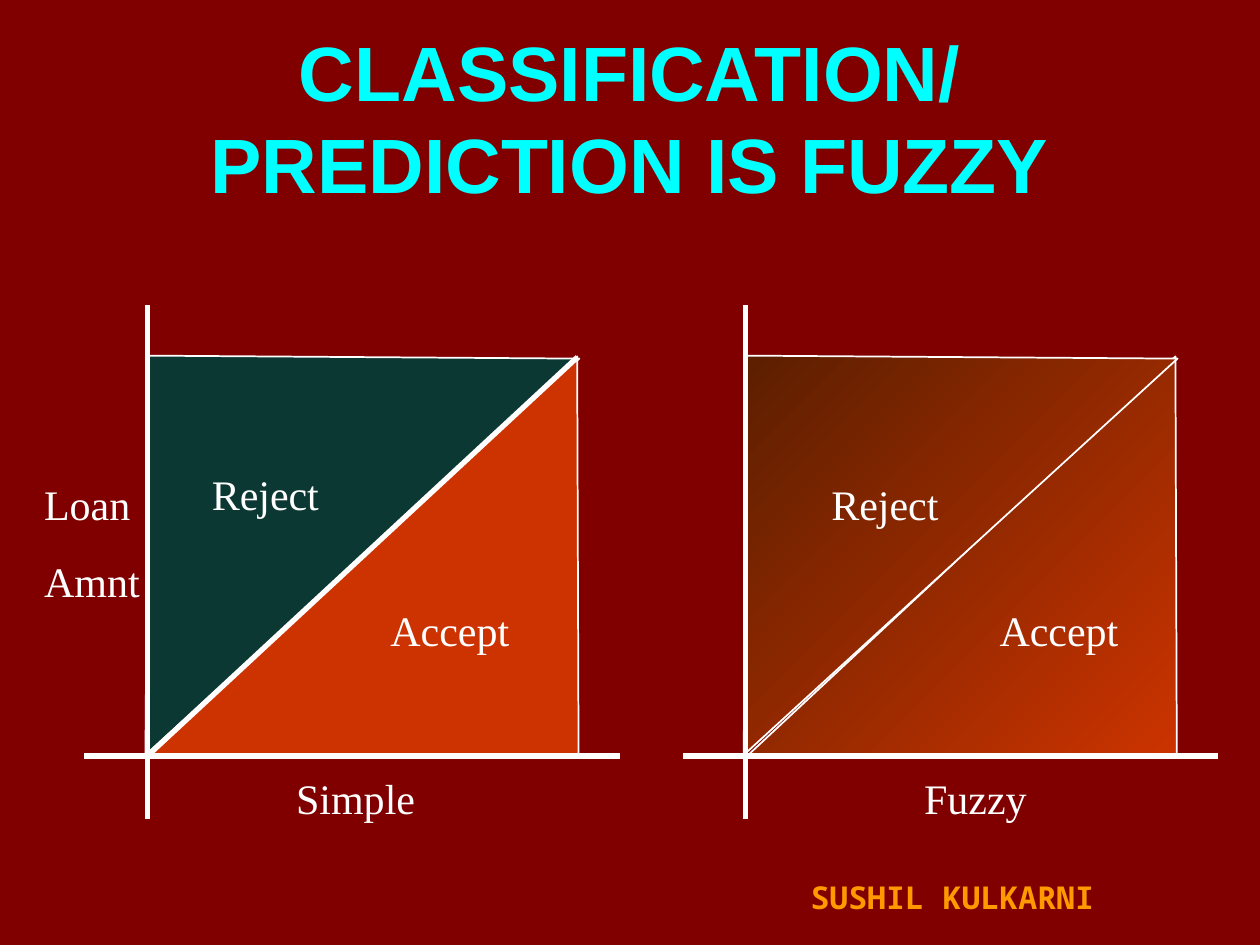
import pptx
import pptx.util
import pptx.dml.color
import pptx.enum.shapes
import pptx.enum.text
import pptx.oxml
import pptx.oxml.ns

Cm = pptx.util.Cm
Pt = pptx.util.Pt
RGB = pptx.dml.color.RGBColor
Auto = pptx.enum.text.MSO_AUTO_SIZE

MAROON = RGB(0x80, 0x00, 0x00)
CYAN = RGB(0x00, 0xFF, 0xFF)
WHITE = RGB(0xFF, 0xFF, 0xFF)
TEAL = RGB(0x0C, 0x38, 0x34)
RED = RGB(0xCC, 0x33, 0x00)
BROWN = RGB(0x5C, 0x1F, 0x00)
ORANGE = RGB(0xFF, 0x99, 0x00)

UPPER = 90.4
LOWER = 269.8
AXIS = 2.97
BASE = 15.24
STEP = 12.06


def write(frame, text, size=24, font="Times New Roman", color=WHITE,
          bold=False, align=None, gap=0):
    frame.text = text
    for i, para in enumerate(frame.paragraphs):
        para.alignment = align
        para.space_before = Pt(gap if i else 0)
        face = para.font
        face.size = Pt(size)
        face.name = font
        face.bold = bold
        face.color.rgb = color


def label(slide, text, left, top, width, height=1.27, wrap=False, **style):
    box = slide.shapes.add_textbox(Cm(left), Cm(top), Cm(width), Cm(height))
    frame = box.text_frame
    frame.word_wrap = wrap
    frame.auto_size = Auto.SHAPE_TO_FIT_TEXT
    write(frame, text, **style)


def line(slide, x1, y1, x2, y2):
    kind = pptx.enum.shapes.MSO_CONNECTOR.STRAIGHT
    link = slide.shapes.add_connector(kind, Cm(x1), Cm(y1), Cm(x2), Cm(y2))
    link.line.color.rgb = WHITE
    link.line.width = Pt(3)
    props = link._element.spPr
    props.append(pptx.oxml.parse_xml(
        "<a:effectLst %s/>" % pptx.oxml.ns.nsdecls("a")))


def wedge(slide, shift, turn, color=None):
    kind = pptx.enum.shapes.MSO_SHAPE.RIGHT_TRIANGLE
    shape = slide.shapes.add_shape(
        kind, Cm(3.28 + shift), Cm(6.88), Cm(8.05), Cm(8.69))
    shape.rotation = turn
    shape.shadow.inherit = False
    shape.line.color.rgb = WHITE
    shape.line.width = Pt(1)
    if color is not None:
        shape.fill.solid()
        shape.fill.fore_color.rgb = color
        return
    shape.fill.gradient()
    shape.fill.gradient_angle = 135
    for stop, tone in zip(shape.fill.gradient_stops, (RED, BROWN)):
        stop.color.rgb = tone
    grad = shape._element.spPr.find(pptx.oxml.ns.qn("a:gradFill"))
    grad.set("rotWithShape", "0")


def axes(slide, shift):
    line(slide, AXIS + shift, 16.51, AXIS + shift, 6.15)
    line(slide, 12.5 + shift, BASE, 1.7 + shift, BASE)


def main():
    deck = pptx.Presentation()
    deck.slide_width = Cm(25.4)
    deck.slide_height = Cm(19.05)
    slide = deck.slides.add_slide(deck.slide_layouts[5])
    slide.background.fill.solid()
    slide.background.fill.fore_color.rgb = MAROON

    title = slide.shapes.title
    title.left, title.top = Cm(1.27), Cm(0.76)
    title.width, title.height = Cm(22.86), Cm(3.18)
    title.text_frame.auto_size = Auto.NONE
    title.text_frame.vertical_anchor = pptx.enum.text.MSO_ANCHOR.MIDDLE
    write(title.text_frame, "CLASSIFICATION/ PREDICTION IS FUZZY", size=44,
          font="Arial", color=CYAN, bold=True,
          align=pptx.enum.text.PP_ALIGN.CENTER)

    wedge(slide, 0, UPPER, TEAL)
    wedge(slide, 0, LOWER, RED)
    axes(slide, 0)
    line(slide, AXIS, BASE, 11.64, 7.2)

    wedge(slide, STEP, LOWER)
    wedge(slide, STEP, UPPER)
    axes(slide, STEP)

    label(slide, "Loan\nAmnt", 0.64, 9.53, 2.75, 2.82, wrap=True, gap=15)
    for text, left, top, width in (
            ("Reject", 4.02, 9.31, 2.67),
            ("Accept", 7.62, 12.07, 2.9),
            ("Simple", 5.72, 15.45, 2.9),
            ("Reject", 16.51, 9.53, 2.67),
            ("Accept", 19.9, 12.07, 2.9),
            ("Fuzzy", 18.38, 15.45, 2.57)):
        label(slide, text, left, top, width)
    label(slide, "SUSHIL KULKARNI", 16.09, 17.57, 6.55, 1.02, wrap=True,
          size=18, font="Noto Sans Mono", color=ORANGE, bold=True)

    deck.save("out.pptx")


if __name__ == "__main__":
    main()
